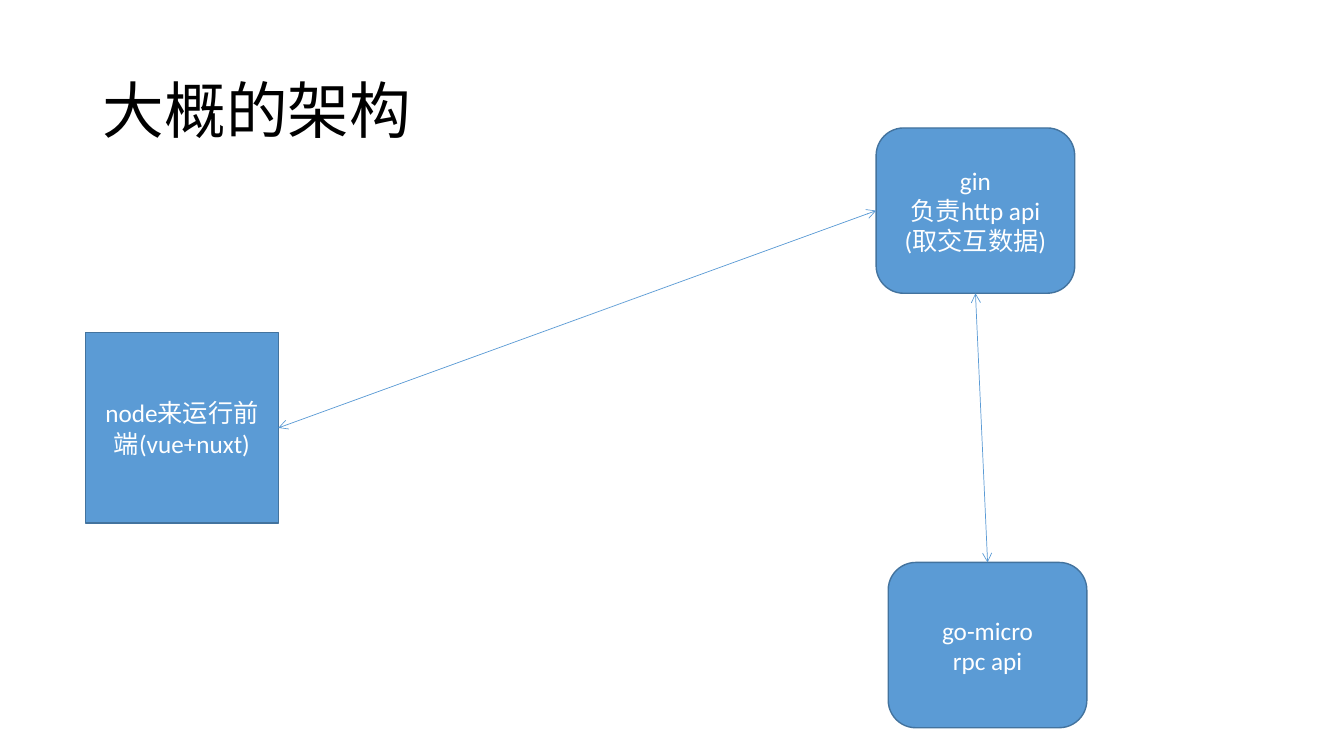
from dataclasses import dataclass

from lxml.etree import SubElement
from pptx import Presentation
from pptx.dml.color import RGBColor
from pptx.enum.shapes import MSO_CONNECTOR, MSO_SHAPE
from pptx.enum.text import MSO_ANCHOR, PP_ALIGN
from pptx.oxml.ns import qn
from pptx.shapes.autoshape import Shape
from pptx.slide import Slide
from pptx.text.text import _Paragraph as Para
from pptx.util import Inches, Pt

WIDE, HIGH = Inches(13.33), Inches(7.5)
TOP, LEFT, BASE, RIGHT = range(4)


@dataclass(frozen=True)
class Theme:
    font: str = "Calibri"
    ink: str = "000000"
    pale: str = "FFFFFF"
    fill: str = "5B9BD5"
    edge: str = "43739E"
    head: float = 44
    body: float = 18
    rim: float = 1
    wire: float = 0.5


@dataclass(frozen=True)
class Area:
    """Left, top, width and height in percent of the slide."""
    left: float
    top: float
    width: float
    height: float


@dataclass(frozen=True)
class Node:
    name: str
    kind: MSO_SHAPE
    area: Area
    lines: tuple[str, ...]


@dataclass(frozen=True)
class Link:
    start: str
    out: int
    end: str
    into: int


THEME = Theme()
HEAD = Area(6.9, 5.33, 86.27, 19.33)
CARD = (14.78, 21.87)
NODES = (
    Node("front", MSO_SHAPE.RECTANGLE, Area(6.38, 44, 14.33, 25.2),
         ("node来运行前端(vue+nuxt)",)),
    Node("gin", MSO_SHAPE.ROUNDED_RECTANGLE, Area(65.19, 16.93, *CARD),
         ("gin", "负责http api", "(取交互数据)")),
    Node("micro", MSO_SHAPE.ROUNDED_RECTANGLE, Area(66.09, 74.4, *CARD),
         ("go-micro", "rpc api")),
)
LINKS = (Link("front", RIGHT, "gin", LEFT), Link("gin", BASE, "micro", TOP))


def place(area: Area) -> tuple[int, int, int, int]:
    return (round(WIDE * area.left / 100), round(HIGH * area.top / 100),
            round(WIDE * area.width / 100), round(HIGH * area.height / 100))


def style(para: Para, size: float, tint: str, align: PP_ALIGN) -> None:
    para.alignment = align
    para.font.name = THEME.font
    para.font.size = Pt(size)
    para.font.color.rgb = RGBColor.from_string(tint)


def add_head(slide: Slide, text: str) -> None:
    title = slide.shapes.title
    title.left, title.top, title.width, title.height = place(HEAD)
    title.text_frame.text = text
    title.text_frame.vertical_anchor = MSO_ANCHOR.MIDDLE
    para = title.text_frame.paragraphs[0]
    para.line_spacing = 0.9
    style(para, THEME.head, THEME.ink, PP_ALIGN.LEFT)


def add_node(slide: Slide, node: Node) -> Shape:
    shape = slide.shapes.add_shape(node.kind, *place(node.area))
    shape.shadow.inherit = False
    shape.fill.solid()
    shape.fill.fore_color.rgb = RGBColor.from_string(THEME.fill)
    shape.line.color.rgb = RGBColor.from_string(THEME.edge)
    shape.line.width = Pt(THEME.rim)
    frame = shape.text_frame
    frame.word_wrap = True
    frame.vertical_anchor = MSO_ANCHOR.MIDDLE
    frame.text = "\n".join(node.lines)
    for para in frame.paragraphs:
        style(para, THEME.body, THEME.pale, PP_ALIGN.CENTER)
    return shape


def add_link(slide: Slide, link: Link, shapes: dict[str, Shape]) -> None:
    wire = slide.shapes.add_connector(MSO_CONNECTOR.STRAIGHT, 0, 0, 0, 0)
    wire.begin_connect(shapes[link.start], link.out)
    wire.end_connect(shapes[link.end], link.into)
    wire.line.color.rgb = RGBColor.from_string(THEME.fill)
    wire.line.width = Pt(THEME.wire)
    # Open arrowheads at both ends, no shadow
    props = wire.line._get_or_add_ln()
    for tag in ("a:headEnd", "a:tailEnd"):
        SubElement(props, qn(tag), type="arrow")
    SubElement(wire._element.spPr, qn("a:effectLst"))


def main() -> None:
    deck = Presentation()
    deck.slide_width, deck.slide_height = WIDE, HIGH
    slide = deck.slides.add_slide(deck.slide_layouts[5])
    # Title
    add_head(slide, "大概的架构")
    # Services
    shapes = {node.name: add_node(slide, node) for node in NODES}
    # Links between services
    for link in LINKS:
        add_link(slide, link, shapes)
    deck.save("out.pptx")


if __name__ == "__main__":
    main()
